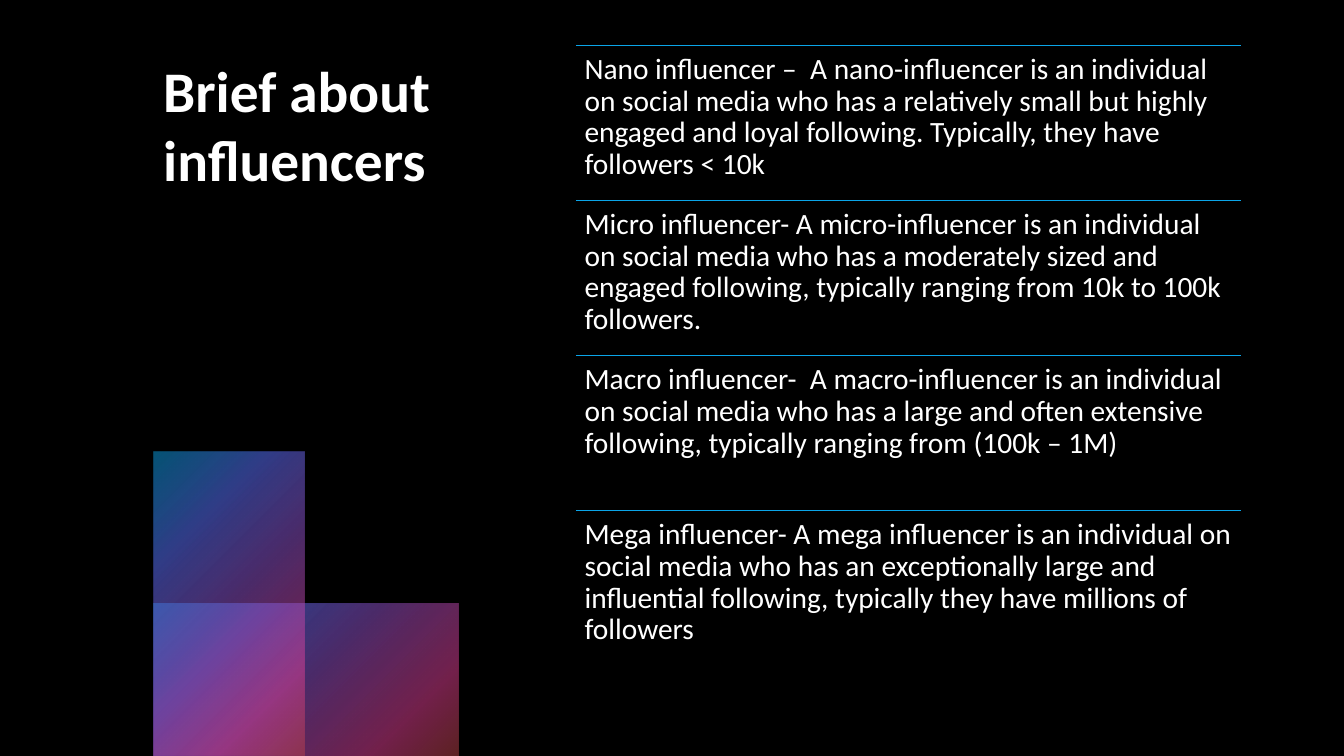
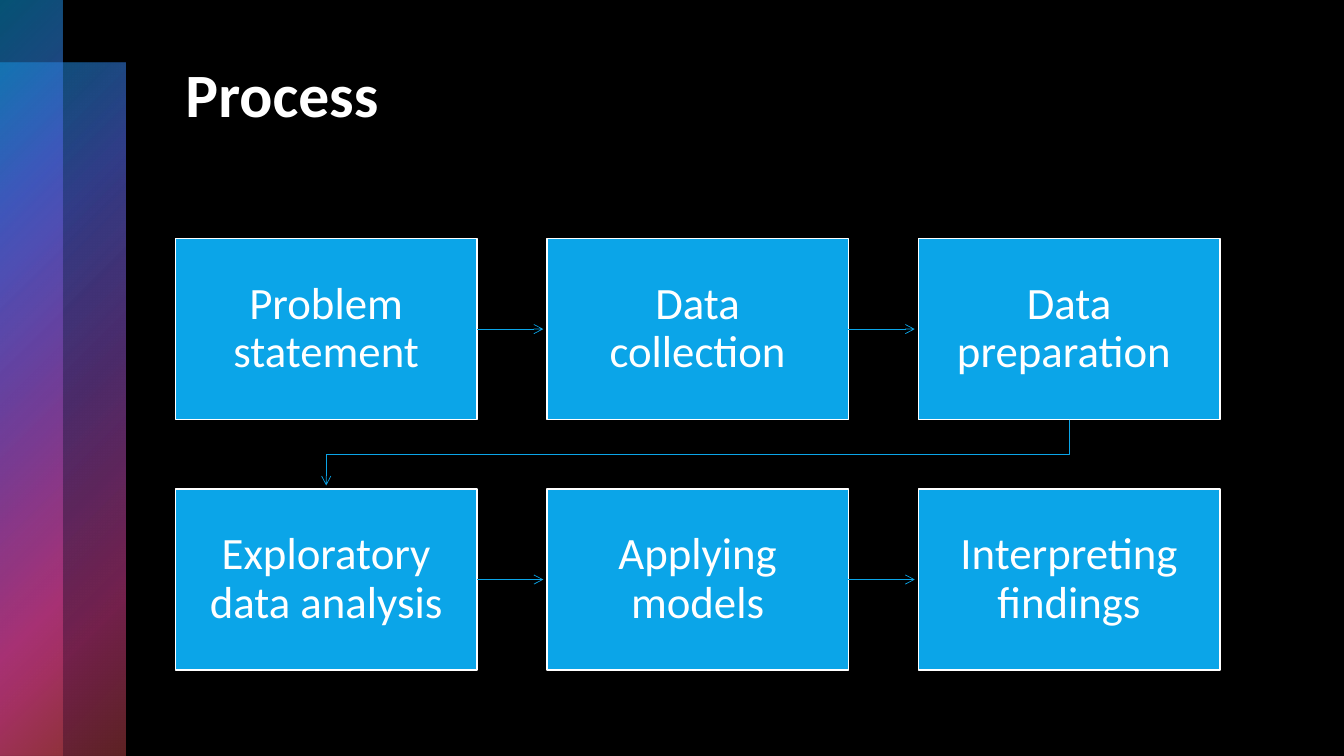
from lxml.etree import SubElement
from pptx import Presentation
from pptx.dml.color import RGBColor
from pptx.enum.shapes import MSO_CONNECTOR, MSO_SHAPE
from pptx.enum.text import MSO_ANCHOR, MSO_AUTO_SIZE, PP_ALIGN
from pptx.oxml import parse_xml
from pptx.oxml.ns import nsdecls, qn
from pptx.util import Pt

# Shared style
BLACK = RGBColor(0x00, 0x00, 0x00)
WHITE = RGBColor(0xFF, 0xFF, 0xFF)
BLUE = RGBColor(0x0B, 0xA5, 0xE8)
INDIGO = RGBColor(0x50, 0x66, 0xE1)
PURPLE = RGBColor(0x89, 0x4E, 0xC0)
PINK = RGBColor(0xE5, 0x41, 0x96)
RED = RGBColor(0xBE, 0x44, 0x49)
FONT = "Calibri"
SLIDE_W, SLIDE_H = 960, 540
# Gradient stops: position %, colour, opacity %
STOPS = [(0, BLUE, 50), (25, INDIGO, 60), (50, PURPLE, 55), (81, PINK, 50), (99, RED, 50)]

# Slide content
INFLUENCERS = [
    "Nano influencer –  A nano-influencer is an individual on social media who has a "
    "relatively small but highly engaged and loyal following. Typically, they have "
    "followers < 10k",
    "Micro influencer- A micro-influencer is an individual on social media who has a "
    "moderately sized and engaged following, typically ranging from 10k to 100k followers.",
    "Macro influencer-  A macro-influencer is an individual on social media who has a "
    "large and often extensive following, typically ranging from (100k – 1M)",
    "Mega influencer- A mega influencer is an individual on social media who has an "
    "exceptionally large and influential following, typically they have millions of followers",
]
STEPS = [
    ["Problem statement", "Data collection", "Data preparation "],
    ["Exploratory data analysis", "Applying models", "Interpreting findings"],
]


def set_text(sp, text, size, bold=False, align=PP_ALIGN.LEFT, anchor=MSO_ANCHOR.TOP,
             spacing=1.0, inset=None):
    tf = sp.text_frame
    tf.word_wrap = True
    tf.auto_size = MSO_AUTO_SIZE.NONE
    tf.vertical_anchor = anchor
    if inset is not None:
        tf.margin_left = tf.margin_top = tf.margin_right = tf.margin_bottom = Pt(inset)
    p = tf.paragraphs[0]
    p.alignment = align
    p.line_spacing = spacing
    r = p.add_run()
    r.text = text
    r.font.name, r.font.size, r.font.bold = FONT, Pt(size), bold
    r.font.color.rgb = WHITE


def set_title(s, text, x, y, w, h, size):
    sp = s.shapes.title
    sp.left, sp.top, sp.width, sp.height = Pt(x), Pt(y), Pt(w), Pt(h)
    set_text(sp, text, size, bold=True)


def add_rect(s, x, y, w, h):
    sp = s.shapes.add_shape(MSO_SHAPE.RECTANGLE, Pt(x), Pt(y), Pt(w), Pt(h))
    sp.shadow.inherit = False
    return sp


def add_gradient_rect(s, x, y, w, h):
    sp = add_rect(s, x, y, w, h)
    sp.line.fill.background()
    sp.fill.background()
    stops = "".join(
        f'<a:gs pos="{pos * 1000}"><a:srgbClr val="{color}">'
        f'<a:alpha val="{alpha * 1000}"/></a:srgbClr></a:gs>'
        for pos, color, alpha in STOPS)
    gradient = parse_xml(
        f'<a:gradFill {nsdecls("a")} rotWithShape="1"><a:gsLst>{stops}</a:gsLst>'
        '<a:path path="circle"><a:fillToRect r="100000" b="100000"/></a:path>'
        '<a:tileRect l="-100000" t="-100000"/></a:gradFill>')
    props = sp.element.spPr
    props.replace(props.find(qn("a:noFill")), gradient)


def style_line(sp):
    sp.line.color.rgb = BLUE
    sp.line.width = Pt(0.5)


def add_line(s, x1, y1, x2, y2):
    line = s.shapes.add_connector(MSO_CONNECTOR.STRAIGHT, Pt(x1), Pt(y1), Pt(x2), Pt(y2))
    style_line(line)
    SubElement(line.element.spPr, qn("a:effectLst"))
    return line


def add_arrowhead(sp):
    SubElement(sp.element.spPr.find(qn("a:ln")), qn("a:tailEnd"), type="arrow")


def add_elbow_arrow(s, points):
    start, *rest = [(Pt(x), Pt(y)) for x, y in points]
    builder = s.shapes.build_freeform(*start)
    builder.add_line_segments(rest, close=False)
    sp = builder.convert_to_shape()
    sp.shadow.inherit = False
    sp.fill.background()
    style_line(sp)
    add_arrowhead(sp)


def add_step(s, text, x, y, w, h):
    sp = add_rect(s, x, y, w, h)
    sp.fill.solid()
    sp.fill.fore_color.rgb = BLUE
    sp.line.color.rgb = WHITE
    sp.line.width = Pt(1)
    set_text(sp, text, 32, align=PP_ALIGN.CENTER, anchor=MSO_ANCHOR.MIDDLE,
             spacing=0.9, inset=11)


def build_influencers(s):
    # Overlapping corner blocks
    add_gradient_rect(s, 109.4, 431, 218.4, 109)
    add_gradient_rect(s, 109.4, 322.5, 108.3, 217.5)
    set_title(s, "Brief about influencers", 109.4, 36, 250.6, 267, 41)

    # Ruled list
    x, top, w, pitch = 411.3, 32.2, 475, 110.8
    for i, text in enumerate(INFLUENCERS):
        y = top + i * pitch
        add_line(s, x, y, x + w, y)
        box = s.shapes.add_textbox(Pt(x), Pt(y), Pt(w), Pt(pitch))
        set_text(box, text, 21, spacing=0.9, inset=6.3)


def build_process(s):
    # Side bands
    add_gradient_rect(s, 0, 44.5, 90, SLIDE_H - 44.5)
    add_gradient_rect(s, 0, 0, 45, SLIDE_H)
    set_title(s, "Process", 125.3, 36, 746.6, 122.4, 44)

    # Step grid with arrows along each row
    left, top, w, h = 125.3, 170.4, 215.5, 129.3
    gap_x, gap_y, clearance = 49.8, 49.6, 2.5
    for row, steps in enumerate(STEPS):
        y = top + row * (h + gap_y)
        for col, text in enumerate(steps):
            x = left + col * (w + gap_x)
            add_step(s, text, x, y, w, h)
            if col < len(steps) - 1:
                add_arrowhead(add_line(s, x + w, y + h / 2,
                                       x + w + gap_x - clearance, y + h / 2))

    # Arrow from the end of the first row to the start of the second
    first_x, last_x = left + w / 2, left + 2 * (w + gap_x) + w / 2
    bottom = top + h
    middle = bottom + gap_y / 2
    add_elbow_arrow(s, [(last_x, bottom), (last_x, middle), (first_x, middle),
                        (first_x, bottom + gap_y - clearance)])


def main():
    prs = Presentation()
    prs.slide_width, prs.slide_height = Pt(SLIDE_W), Pt(SLIDE_H)
    background = prs.slide_master.background.fill
    background.solid()
    background.fore_color.rgb = BLACK
    title_only = prs.slide_layouts.get_by_name("Title Only")
    for build in (build_influencers, build_process):
        build(prs.slides.add_slide(title_only))
    prs.save("out.pptx")


if __name__ == "__main__":
    main()
